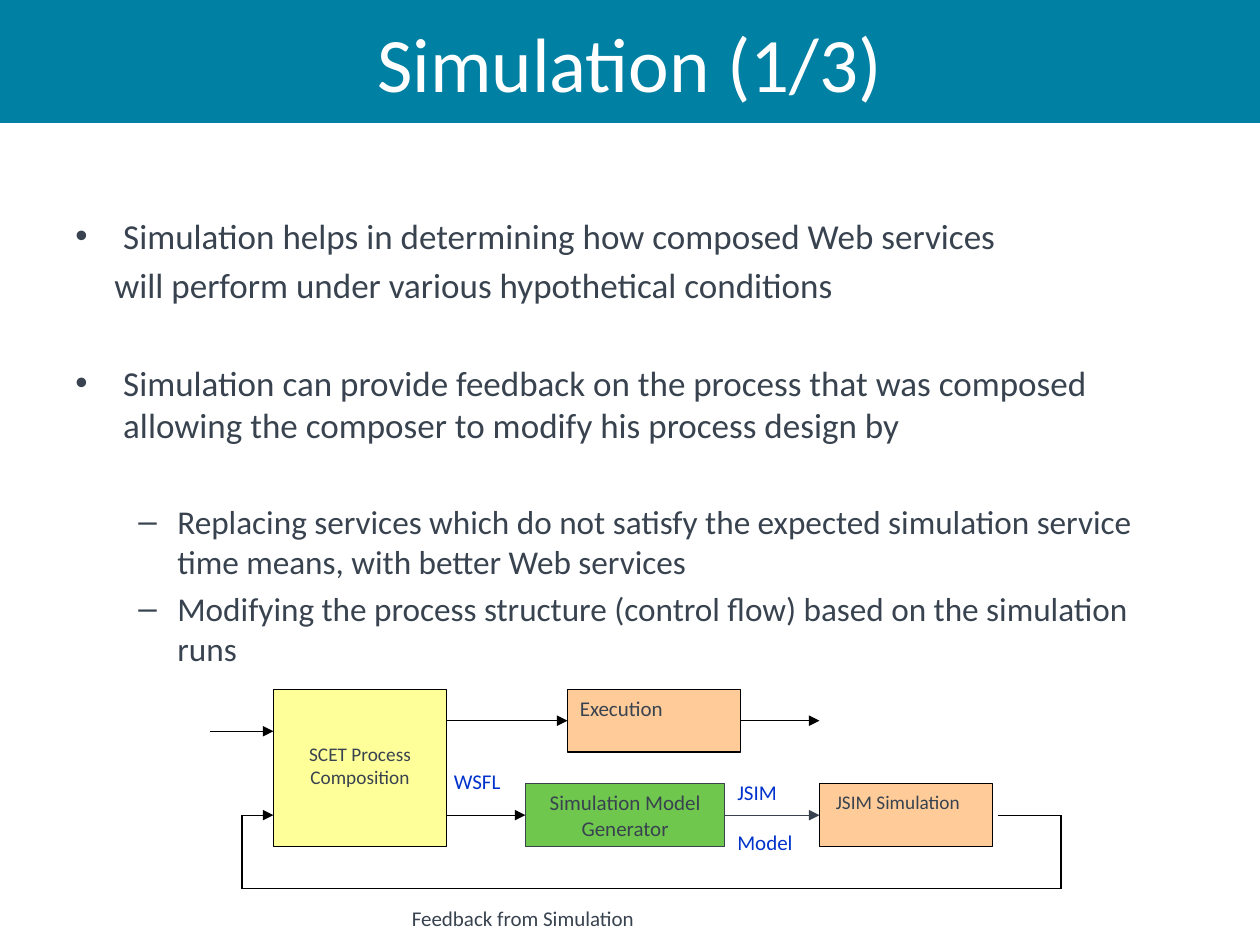
from dataclasses import dataclass
from itertools import pairwise

from lxml import etree
from pptx import Presentation
from pptx.dml.color import RGBColor
from pptx.enum import shapes, text
from pptx.oxml import ns
from pptx import util as u


@dataclass(frozen=True)
class Theme:
    font: str = "Calibri"
    banner: str = "0080A3"
    white: str = "FFFFFF"
    ink: str = "38434F"
    label: str = "0033CC"
    outline: str = "000000"
    process: str = "FFFF99"
    stage: str = "FFCC99"
    generator: str = "70C74E"
    title_size: int = 44
    point_size: int = 20
    detail_size: int = 19
    label_size: int = 12
    small_size: int = 11
    line_width: float = 0.75


THEME = Theme()
CENTER = text.PP_ALIGN.CENTER
MIDDLE = text.MSO_ANCHOR.MIDDLE


@dataclass(frozen=True)
class Grid:
    left: float
    top: float
    cell: float

    def point(self, column, row):
        return (u.Inches(self.left + column * self.cell),
                u.Inches(self.top + row * self.cell))

    def box(self, column, row, columns, rows):
        return (*self.point(column, row),
                u.Inches(columns * self.cell), u.Inches(rows * self.cell))


def share(deck, left, top, width, height):
    return (int(deck.slide_width * left), int(deck.slide_height * top),
            int(deck.slide_width * width), int(deck.slide_height * height))


def write(frame, lines, size, color, align=None, gap=0):
    frame.word_wrap = True
    for index, line in enumerate(lines):
        para = frame.add_paragraph() if index else frame.paragraphs[0]
        para.alignment = align or text.PP_ALIGN.LEFT
        if index:
            para.space_before = u.Pt(gap)
        add_span(para, line, size, color)


def add_span(para, words, size, color):
    span = para.add_run()
    span.text = words
    span.font.name = THEME.font
    span.font.size = u.Pt(size)
    span.font.color.rgb = RGBColor.from_string(color)


def add_box(page, area, fill, line=None):
    box = page.shapes.add_shape(shapes.MSO_SHAPE.RECTANGLE, *area)
    box.shadow.inherit = False
    box.fill.solid()
    box.fill.fore_color.rgb = RGBColor.from_string(fill)
    if line:
        box.line.color.rgb = RGBColor.from_string(line)
        box.line.width = u.Pt(THEME.line_width)
    else:
        box.line.fill.background()
    box.text_frame.vertical_anchor = text.MSO_ANCHOR.TOP
    return box


def add_line(page, start, end, color=THEME.outline, arrow=True, source=None, target=None):
    line = page.shapes.add_connector(shapes.MSO_CONNECTOR.STRAIGHT, *start, *end)
    line.line.color.rgb = RGBColor.from_string(color)
    line.line.width = u.Pt(THEME.line_width)
    if arrow:
        etree.SubElement(line.line._get_or_add_ln(), ns.qn("a:tailEnd"), type="triangle")
    etree.SubElement(line._element.spPr, ns.qn("a:effectLst"))
    if source:
        line.begin_connect(source, 3)
    if target:
        line.end_connect(target, 1)


def add_title(page, area):
    banner = add_box(page, area, THEME.banner)
    banner.text_frame.vertical_anchor = MIDDLE
    write(banner.text_frame, ["Simulation (1/3)"], THEME.title_size, THEME.white, CENTER)


def add_points(page, area):
    points = [
        ("•", 0.38, 0.38, 4, THEME.point_size,
         "Simulation helps in determining how composed Web services"),
        (None, 0.31, 0, 4, THEME.point_size,
         "will perform under various hypothetical conditions"),
        ("•", 0.38, 0.38, 32, THEME.point_size,
         "Simulation can provide feedback on the process that was composed "
         "allowing the composer to modify his process design by"),
        ("–", 0.81, 0.31, 32, THEME.detail_size,
         "Replacing services which do not satisfy the expected simulation service "
         "time means, with better Web services"),
        ("–", 0.81, 0.31, 4, THEME.detail_size,
         "Modifying the process structure (control flow) based on the simulation runs"),
    ]
    frame = page.shapes.add_textbox(*area).text_frame
    frame.word_wrap = True
    for index, (bullet, indent, hanging, gap, size, words) in enumerate(points):
        para = frame.add_paragraph() if index else frame.paragraphs[0]
        para.level = 1 if bullet == "–" else 0
        para.space_before = u.Pt(gap)
        settings = para._p.get_or_add_pPr()
        settings.set("marL", str(u.Inches(indent)))
        settings.set("indent", str(-u.Inches(hanging)))
        if bullet:
            etree.SubElement(settings, ns.qn("a:buFont"), typeface="Arial")
            etree.SubElement(settings, ns.qn("a:buChar"), char=bullet)
        add_span(para, words, size, THEME.ink)


def add_diagram(page, grid):
    process = add_box(page, grid.box(6, 0, 16.5, 15), THEME.process, THEME.outline)
    process.text_frame.margin_top = u.Inches(0.42)
    write(process.text_frame, ["SCET Process", "Composition"],
          THEME.small_size, THEME.ink, CENTER)

    execution = add_box(page, grid.box(34, 0, 16.5, 6), THEME.stage, THEME.outline)
    write(execution.text_frame, ["Execution"], THEME.label_size, THEME.ink)

    simulation = add_box(page, grid.box(58, 9, 16.5, 6), THEME.stage, THEME.outline)
    simulation.text_frame.margin_left = u.Inches(0.13)
    write(simulation.text_frame, ["JSIM Simulation"], THEME.small_size, THEME.ink)

    generator = add_box(page, grid.box(30, 9, 19, 6), THEME.generator, THEME.ink)
    generator.text_frame.vertical_anchor = MIDDLE
    write(generator.text_frame, ["Simulation Model", "Generator"],
          THEME.label_size, THEME.ink, CENTER)

    feedback = add_box(page, grid.box(18, 20, 24, 3), THEME.white)
    write(feedback.text_frame, ["Feedback from Simulation"], THEME.label_size, THEME.ink)

    add_line(page, grid.point(0, 4), grid.point(6, 4))
    add_line(page, grid.point(22.5, 3), grid.point(34, 3), target=execution)
    add_line(page, grid.point(50.5, 3), grid.point(58, 3), source=execution)
    add_line(page, grid.point(22.5, 12), grid.point(30, 12), target=generator)
    add_line(page, grid.point(49, 12), grid.point(58, 12), THEME.ink,
             source=generator, target=simulation)

    loop = [(75, 12), (81, 12), (81, 19), (3, 19), (3, 12), (6, 12)]
    for start, end in pairwise(loop):
        add_line(page, grid.point(*start), grid.point(*end), arrow=end == loop[-1])

    for area, lines in (((22, 7, 8, 3.5), ["WSFL"]),
                        ((49, 8, 8, 8.5), ["JSIM", "Model"])):
        label = page.shapes.add_textbox(*grid.box(*area))
        write(label.text_frame, lines, THEME.label_size, THEME.label, gap=14)


def main():
    deck = Presentation()
    deck.slide_width, deck.slide_height = u.Inches(10), u.Inches(7.5)
    page = deck.slides.add_slide(deck.slide_layouts[6])
    add_title(page, share(deck, 0, 0, 1, 0.13))
    add_points(page, share(deck, 0.05, 0.22, 0.9, 0.74))
    add_diagram(page, Grid(left=1.67, top=5.47, cell=1 / 12))
    deck.save("out.pptx")


if __name__ == "__main__":
    main()
